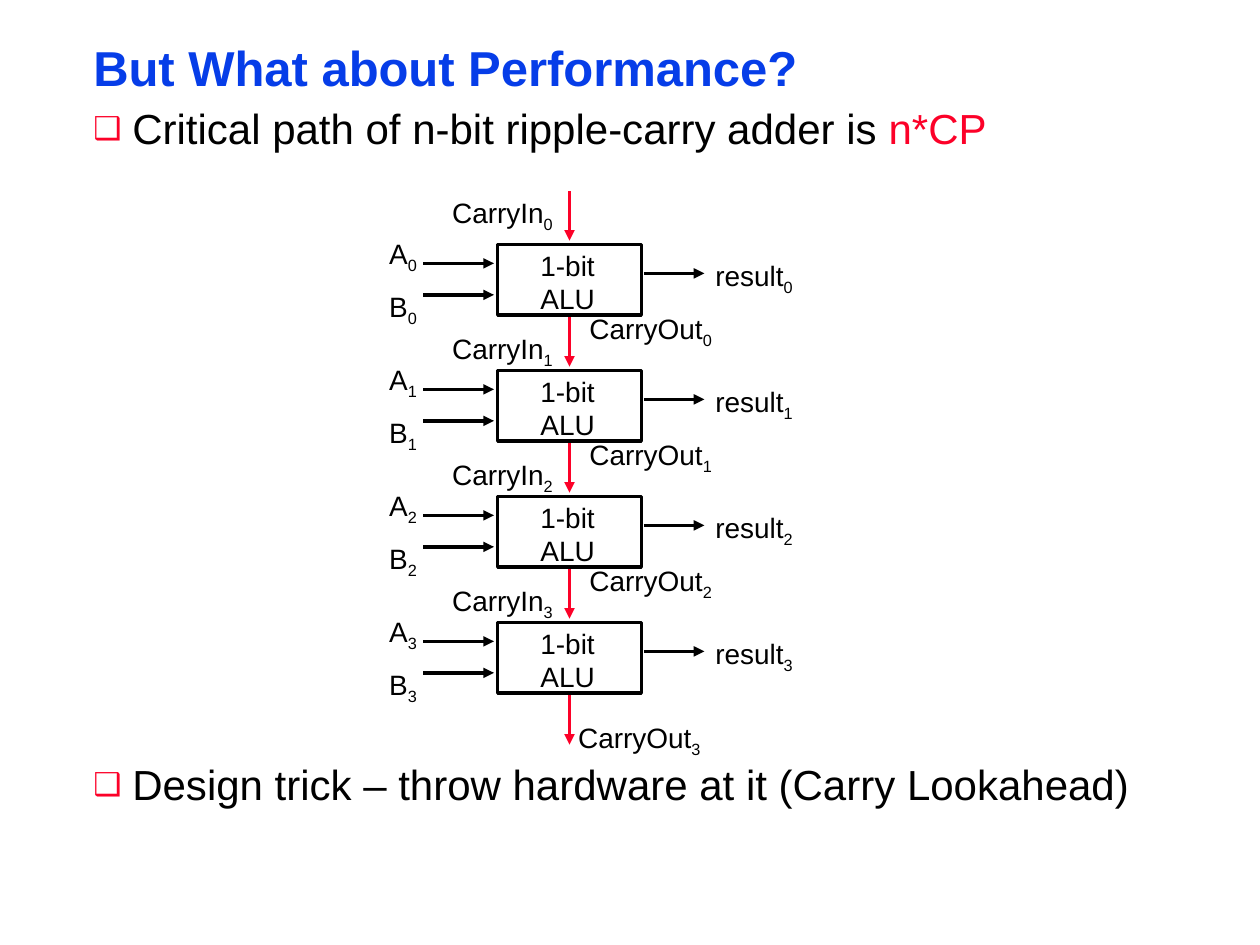
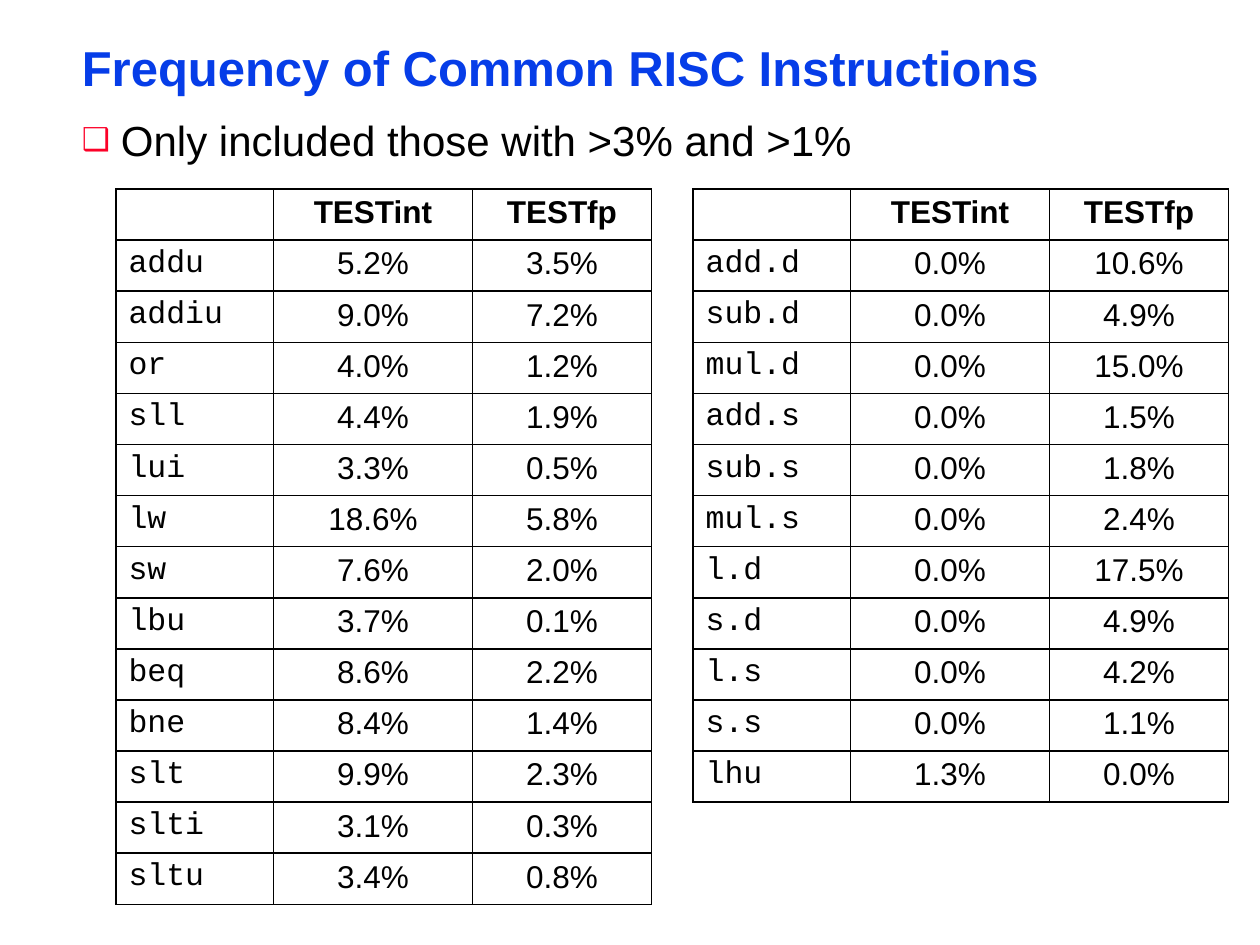
from lxml.etree import SubElement
from pptx import Presentation
from pptx.dml.color import RGBColor
from pptx.enum.shapes import MSO_CONNECTOR as Connector, MSO_SHAPE as Preset
from pptx.enum.text import MSO_ANCHOR as Anchor, MSO_AUTO_SIZE as AutoSize, PP_ALIGN as Align
from pptx.oxml.ns import qn
from pptx.util import Inches, Pt

SLIDE_WIDTH, SLIDE_HEIGHT = Inches(10), Inches(7.5)
GRID_COLUMNS, GRID_ROWS = 10, 7.5
COLORS = {"title": "063DE8", "text": "000000", "accent": "FC0128", "background": "FFFFFF"}
TEXT_FONT, CODE_FONT = "Arial", "Courier New"

STAGES = 4
FIRST_STAGE_TOP = 1.94
STAGE_PITCH = 1

TABLE_TOP = 1.5
TABLE_COLUMNS = (1.25, 1.58, 1.42)
TABLE_ROW = 5.68 / 14
TABLE_HEADER = ("", "TESTint", "TESTfp")
INTEGER_INSTRUCTIONS = (
    ("addu", "5.2%", "3.5%"),
    ("addiu", "9.0%", "7.2%"),
    ("or", "4.0%", "1.2%"),
    ("sll", "4.4%", "1.9%"),
    ("lui", "3.3%", "0.5%"),
    ("lw", "18.6%", "5.8%"),
    ("sw", "7.6%", "2.0%"),
    ("lbu", "3.7%", "0.1%"),
    ("beq", "8.6%", "2.2%"),
    ("bne", "8.4%", "1.4%"),
    ("slt", "9.9%", "2.3%"),
    ("slti", "3.1%", "0.3%"),
    ("sltu", "3.4%", "0.8%"),
)
FLOAT_INSTRUCTIONS = (
    ("add.d", "0.0%", "10.6%"),
    ("sub.d", "0.0%", "4.9%"),
    ("mul.d", "0.0%", "15.0%"),
    ("add.s", "0.0%", "1.5%"),
    ("sub.s", "0.0%", "1.8%"),
    ("mul.s", "0.0%", "2.4%"),
    ("l.d", "0.0%", "17.5%"),
    ("s.d", "0.0%", "4.9%"),
    ("l.s", "0.0%", "4.2%"),
    ("s.s", "0.0%", "1.1%"),
    ("lhu", "1.3%", "0.0%"),
)


def across(columns):
    return round(SLIDE_WIDTH * columns / GRID_COLUMNS)


def down(rows):
    return round(SLIDE_HEIGHT * rows / GRID_ROWS)


def area(left, top, width, height):
    return across(left), down(top), across(width), down(height)


def color(name):
    return RGBColor.from_string(COLORS[name])


def style(font, size, name="text", face=TEXT_FONT, bold=False):
    font.size, font.name, font.bold = Pt(size), face, bold
    font.color.rgb = color(name)


def place(placeholder, left, top, width, height):
    """Move a placeholder and give its text frame the shared margins."""
    placeholder.left, placeholder.top, placeholder.width, placeholder.height = area(
        left, top, width, height)
    frame = placeholder.text_frame
    frame.margin_left = frame.margin_right = Inches(0.07)
    frame.margin_top = frame.margin_bottom = Inches(0.03)
    frame.vertical_anchor = Anchor.TOP
    frame.word_wrap = True
    frame.auto_size = AutoSize.NONE
    return frame


def add_titled_slide(deck, title, left, width):
    slide = deck.slides.add_slide(deck.slide_layouts[1])
    slide.background.fill.solid()
    slide.background.fill.fore_color.rgb = color("background")
    frame = place(slide.shapes.title, left, 0.33, width, 0.46)
    frame.text = title
    heading = frame.paragraphs[0]
    heading.alignment = Align.LEFT
    heading.line_spacing = 0.87
    style(heading.runs[0].font, 28, "title", bold=True)
    return slide


def add_bullet_mark(paragraph):
    properties = paragraph._p.get_or_add_pPr()
    properties.set("marL", str(Inches(0.31)))
    properties.set("indent", str(-Inches(0.31)))
    tint = SubElement(properties, qn("a:buClr"))
    SubElement(tint, qn("a:srgbClr")).set("val", COLORS["accent"])
    SubElement(properties, qn("a:buSzPct")).set("val", "75000")
    SubElement(properties, qn("a:buFont")).set("typeface", TEXT_FONT)
    SubElement(properties, qn("a:buChar")).set("char", "❑")


def add_bullets(slide, bounds, bullets, gap=0):
    """Fill the body; each bullet is a list of (text, colour name) pieces."""
    frame = place(slide.placeholders[1], *bounds)
    for index, pieces in enumerate(bullets):
        bullet = frame.add_paragraph() if index else frame.paragraphs[0]
        add_bullet_mark(bullet)
        bullet.line_spacing = 0.9
        bullet.space_before = Pt(gap if index else 0)
        for words, name in pieces:
            run = bullet.add_run()
            run.text = words
            style(run.font, 24, name)


def add_label(slide, bounds, lines, subscript="", alignment=Align.LEFT):
    frame = slide.shapes.add_textbox(*area(*bounds)).text_frame
    frame.word_wrap = False
    frame.auto_size = AutoSize.SHAPE_TO_FIT_TEXT
    frame.text = lines
    for line in frame.paragraphs:
        line.alignment = alignment
        style(line.runs[0].font, 16)
    if subscript:
        index = frame.paragraphs[0].add_run()
        index.text = subscript
        style(index.font, 16)
        index._r.get_or_add_rPr().set("baseline", "-25000")


def add_arrow(slide, start, end, name="text"):
    arrow = slide.shapes.add_connector(
        Connector.STRAIGHT, across(start[0]), down(start[1]), across(end[0]), down(end[1]))
    arrow.line.color.rgb = color(name)
    arrow.line.width = Pt(2)
    SubElement(arrow.line._get_or_add_ln(), qn("a:tailEnd")).set("type", "triangle")
    SubElement(arrow._element.spPr, qn("a:effectLst"))


def add_carry_arrow(slide, top):
    add_arrow(slide, (4.52, top), (4.52, top + 0.39), "accent")


def add_alu_stage(slide, stage):
    """Draw one 1-bit ALU with its inputs, result and carries."""
    top = FIRST_STAGE_TOP + stage * STAGE_PITCH
    number = str(stage)
    is_first, is_last = stage == 0, stage == STAGES - 1

    for operand, label_shift, arrow_shift in (("A", -0.11, 0.15), ("B", 0.31, 0.4)):
        add_label(slide, (2.99, top + label_shift, 0.43, 0.37), operand, number)
        add_arrow(slide, (3.36, top + arrow_shift), (3.92, top + arrow_shift))

    alu = slide.shapes.add_shape(Preset.RECTANGLE, *area(3.95, top, 1.14, 0.56))
    alu.shadow.inherit = False
    alu.fill.background()
    alu.line.color.rgb = color("text")
    alu.line.width = Pt(2)
    add_label(slide, (4.19, top - 0.02, 0.63, 0.63), "1-bit\nALU", alignment=Align.CENTER)

    add_arrow(slide, (5.11, top + 0.23), (5.59, top + 0.23))
    add_label(slide, (5.58, top + 0.06, 0.83, 0.37), "result", number)

    add_carry_arrow(slide, top - 0.42)
    carry_in_shift = -0.44 if is_first else -0.36
    add_label(slide, (3.49, top + carry_in_shift, 1.05, 0.36), "CarryIn", number)
    carry_out_left, carry_out_shift = (4.49, 0.73) if is_last else (4.58, 0.48)
    add_label(slide, (carry_out_left, top + carry_out_shift, 1.22, 0.36), "CarryOut", number)
    if is_last:
        add_carry_arrow(slide, top + 0.58)


def add_cell_borders(cell):
    properties = cell._tc.get_or_add_tcPr()
    for side in ("lnL", "lnR", "lnT", "lnB"):
        border = SubElement(properties, qn(f"a:{side}"))
        border.set("w", str(Pt(1)))
        fill = SubElement(border, qn("a:solidFill"))
        SubElement(fill, qn("a:srgbClr")).set("val", COLORS["text"])


def add_frequency_table(slide, left, instructions):
    rows = (TABLE_HEADER, *instructions)
    bounds = area(left, TABLE_TOP, sum(TABLE_COLUMNS), TABLE_ROW * len(rows))
    table = slide.shapes.add_table(len(rows), len(TABLE_COLUMNS), *bounds).table
    table.first_row = table.horz_banding = False
    for column, width in zip(table.columns, TABLE_COLUMNS):
        column.width = across(width)
    for row_index, row in enumerate(rows):
        table.rows[row_index].height = down(TABLE_ROW)
        for column_index, value in enumerate(row):
            cell = table.cell(row_index, column_index)
            add_cell_borders(cell)
            cell.fill.background()
            cell.text = value
            entry = cell.text_frame.paragraphs[0]
            is_name = column_index == 0
            entry.alignment = Align.LEFT if is_name else Align.CENTER
            style(entry.font, 18)
            for run in entry.runs:
                style(run.font, 18, face=CODE_FONT if is_name else TEXT_FONT,
                      bold=row_index == 0)


def build_performance_slide(deck):
    slide = add_titled_slide(deck, "But What about Performance?", 0.67, 5.8)
    critical_path = [("Critical path of n-bit ripple-carry adder is ", "text"),
                     ("n*CP", "accent")]
    design_trick = [("Design trick – throw hardware at it (Carry Lookahead)", "text")]
    add_bullets(slide, (0.67, 0.83, 8.58, 6.05), [critical_path, design_trick], gap=349)
    for stage in range(STAGES):
        add_alu_stage(slide, stage)


def build_frequency_slide(deck):
    slide = add_titled_slide(deck, "Frequency of Common RISC Instructions", 0.58, 8.92)
    add_bullets(slide, (0.58, 0.92, 8.92, 0.42),
                [[("Only included those with >3% and >1%", "text")]])
    add_frequency_table(slide, 0.92, INTEGER_INSTRUCTIONS)
    add_frequency_table(slide, 5.5, FLOAT_INSTRUCTIONS)


def main():
    deck = Presentation()
    deck.slide_width, deck.slide_height = SLIDE_WIDTH, SLIDE_HEIGHT
    build_performance_slide(deck)
    build_frequency_slide(deck)
    deck.save("out.pptx")


if __name__ == "__main__":
    main()
